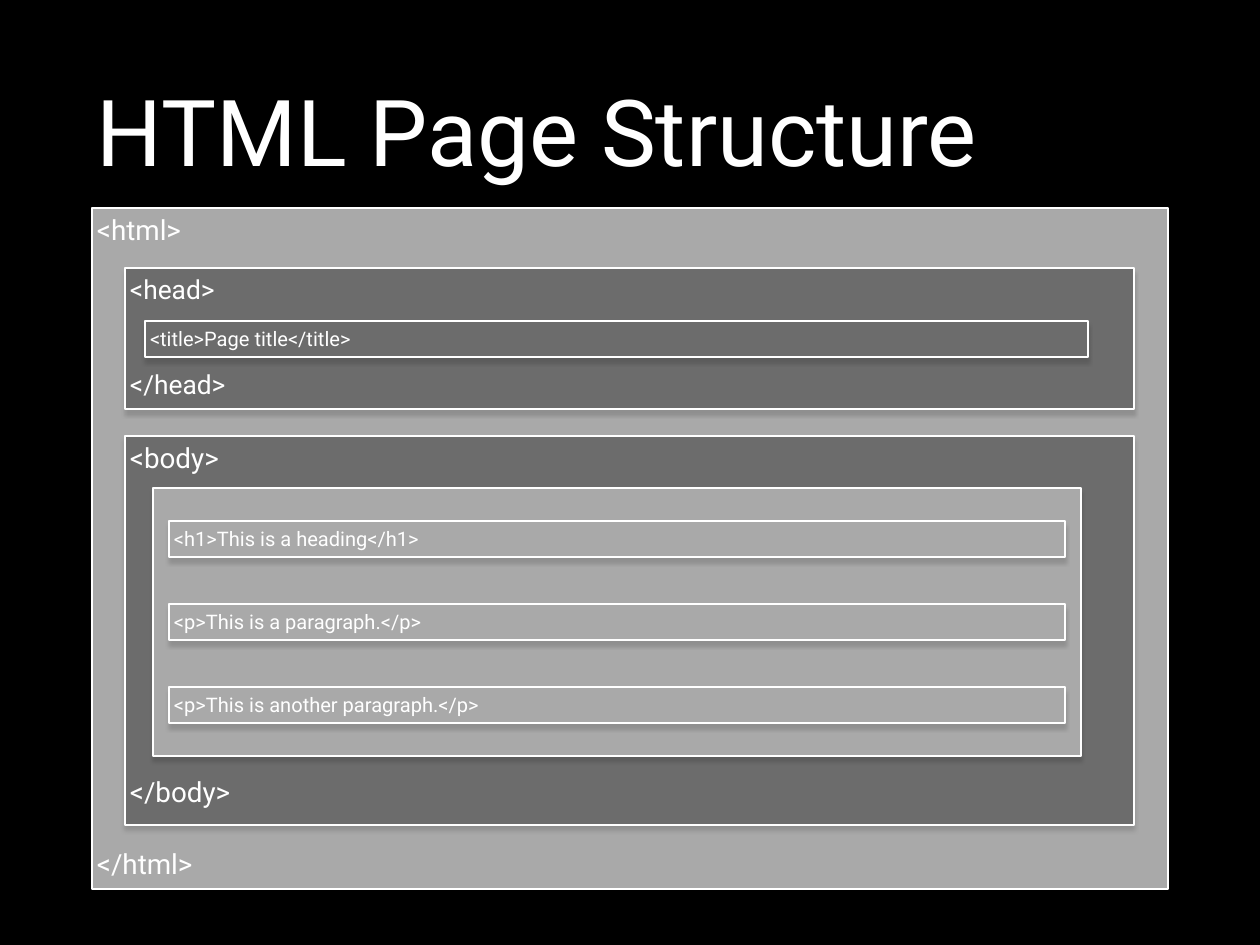
from dataclasses import dataclass

from lxml import etree
from pptx import Presentation
from pptx.dml.color import RGBColor
from pptx.enum import shapes, text
from pptx.oxml import ns
from pptx.util import Pt

EMU_PER_PX = 10320
INSET = 5
FONT = "Roboto"
BLACK, WHITE, LIGHT, DARK = "000000", "FFFFFF", "A9A9A9", "6C6C6C"


@dataclass
class Box:
    x: int
    y: int
    w: int
    h: int
    fill: str
    size: float = 16.3
    lines: tuple[str, ...] = ()
    gap: int = 0  # points between opening and closing tag


def px(n: int) -> int:
    return n * EMU_PER_PX


def rgb(value: str) -> RGBColor:
    return RGBColor.from_string(value)


def add_run(p, content: str, size: float) -> None:
    r = p.add_run()
    r.text = content
    r.font.name = FONT
    r.font.size = Pt(size)
    r.font.color.rgb = rgb(WHITE)
    p.alignment = text.PP_ALIGN.LEFT


def set_frame(tf, anchor) -> None:
    tf.margin_left = tf.margin_right = px(INSET)
    tf.margin_top = tf.margin_bottom = px(INSET)
    tf.word_wrap = True
    tf.auto_size = text.MSO_AUTO_SIZE.NONE
    tf.vertical_anchor = anchor


def add_shadow(sp) -> None:
    sp.shadow.inherit = False
    effects = sp._element.spPr.find(ns.qn("a:effectLst"))
    shadow = etree.SubElement(
        effects, ns.qn("a:outerShdw"), blurRad=str(Pt(3)),
        dist=str(Pt(3.9)), dir="5400000", rotWithShape="0")
    color = etree.SubElement(shadow, ns.qn("a:srgbClr"), val=BLACK)
    etree.SubElement(color, ns.qn("a:alpha"), val="14000")


def add_box(s, box: Box) -> None:
    sp = s.shapes.add_shape(shapes.MSO_SHAPE.RECTANGLE,
                            px(box.x), px(box.y), px(box.w), px(box.h))
    sp.fill.solid()
    sp.fill.fore_color.rgb = rgb(box.fill)
    sp.line.color.rgb = rgb(WHITE)
    sp.line.width = Pt(1)
    add_shadow(sp)
    tf = sp.text_frame
    set_frame(tf, text.MSO_ANCHOR.TOP)
    for i, line in enumerate(box.lines):
        p = tf.add_paragraph() if i else tf.paragraphs[0]
        if i:
            p.space_before = Pt(box.gap)
        add_run(p, line, box.size)


def add_title(s, content: str) -> None:
    title = s.shapes.title
    title.left, title.top = px(92), px(25)
    title.width, title.height = px(1076), px(209)
    set_frame(title.text_frame, text.MSO_ANCHOR.MIDDLE)
    add_run(title.text_frame.paragraphs[0], content, 75)


# Page regions, from the outermost inwards
REGIONS = [
    Box(92, 208, 1076, 681, LIGHT, 22.6, ("<html>", "</html>"), 488),
    Box(125, 268, 1009, 141, DARK, 21.4, ("<head>", "</head>"), 52),
    Box(145, 321, 943, 36, DARK, lines=("<title>Page title</title>",)),
    Box(125, 436, 1009, 389, DARK, 22.6, ("<body>", "</body>"), 244),
    Box(153, 488, 928, 268, LIGHT),
]

# Elements inside the body, evenly spaced
BODY_ELEMENTS = [
    "<h1>This is a heading</h1>",
    "<p>This is a paragraph.</p>",
    "<p>This is another paragraph.</p>",
]
ELEMENT_TOP, ELEMENT_STEP = 521, 83


def main() -> None:
    prs = Presentation()
    prs.slide_width, prs.slide_height = px(1260), px(945)
    s = prs.slides.add_slide(prs.slide_layouts[5])
    s.background.fill.solid()
    s.background.fill.fore_color.rgb = rgb(BLACK)

    add_title(s, "HTML Page Structure")
    for region in REGIONS:
        add_box(s, region)
    for i, line in enumerate(BODY_ELEMENTS):
        add_box(s, Box(169, ELEMENT_TOP + i * ELEMENT_STEP, 896, 36, LIGHT,
                       lines=(line,)))

    prs.save("out.pptx")


if __name__ == "__main__":
    main()
